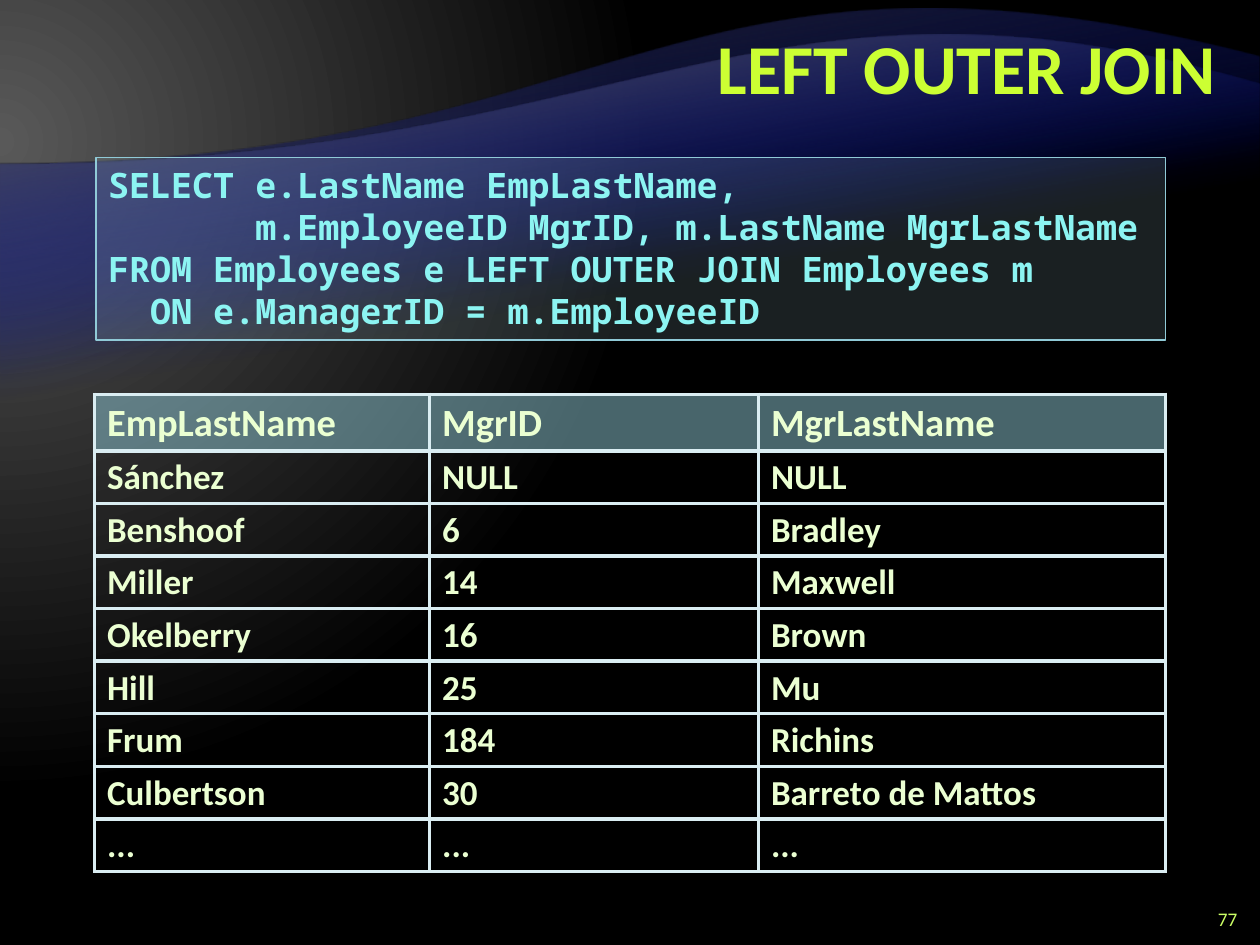
from pptx import Presentation
from pptx.dml.color import RGBColor
from pptx.enum.shapes import MSO_SHAPE
from pptx.enum.text import MSO_ANCHOR, MSO_AUTO_SIZE, PP_ALIGN
from pptx.oxml import parse_xml
from pptx.oxml.ns import nsdecls, qn
from pptx.util import Inches, Pt

RECT = MSO_SHAPE.RECTANGLE
TOP, MIDDLE = MSO_ANCHOR.TOP, MSO_ANCHOR.MIDDLE
LEFT, RIGHT = PP_ALIGN.LEFT, PP_ALIGN.RIGHT
NO_FIT = MSO_AUTO_SIZE.NONE

UNIT = Inches(0.25)
COLS, ROWS = 40, 30
SANS, MONO = "Calibri", "Noto Sans Mono"
BLACK = RGBColor(0x00, 0x00, 0x00)
GREY = RGBColor(0x59, 0x59, 0x59)
DARK = RGBColor(0x26, 0x26, 0x26)
BLUE = RGBColor(0x00, 0x0D, 0x9E)
LIME = RGBColor(0xCC, 0xFF, 0x33)
PALE_LIME = RGBColor(0xCC, 0xFF, 0x66)
CREAM = RGBColor(0xEB, 0xFF, 0xD2)
CYAN = RGBColor(0x8C, 0xF4, 0xF2)
TEAL = RGBColor(0x90, 0xCA, 0xD7)
MIST = RGBColor(0xB5, 0xDB, 0xE5)
ICE = RGBColor(0xDA, 0xED, 0xF2)

QUERY = """SELECT e.LastName EmpLastName,
       m.EmployeeID MgrID, m.LastName MgrLastName
FROM Employees e LEFT OUTER JOIN Employees m
  ON e.ManagerID = m.EmployeeID"""
STAFF = [
    ("EmpLastName", "MgrID", "MgrLastName"),
    ("Sánchez", "NULL", "NULL"),
    ("Benshoof", "6", "Bradley"),
    ("Miller", "14", "Maxwell"),
    ("Okelberry", "16", "Brown"),
    ("Hill", "25", "Mu"),
    ("Frum", "184", "Richins"),
    ("Culbertson", "30", "Barreto de Mattos"),
    ("...", "...", "..."),
]


def grid(*cells):
    """Turn grid counts into lengths."""
    return [round(n * UNIT) for n in cells]


def style(para, size, color, name=SANS, bold=True, align=LEFT):
    """Set the font and alignment of a paragraph."""
    para.alignment = align
    font = para.font
    font.name, font.size, font.bold = name, Pt(size), bold
    font.color.rgb = color


def fade(color, share):
    """Make a solid fill's colour partly clear."""
    color.append(parse_xml(f'<a:alpha {nsdecls("a")} val="{share * 1000}"/>'))


def blend(parent, stops, shade):
    """Put a gradient in place of an empty fill."""
    marks = "".join(
        f'<a:gs pos="{at * 1000}"><a:srgbClr val="{color}">'
        f'<a:alpha val="{share * 1000}"/></a:srgbClr></a:gs>'
        for at, color, share in stops)
    fill = parse_xml(f'<a:gradFill {nsdecls("a")} rotWithShape="1">'
                     f'<a:gsLst>{marks}</a:gsLst>{shade}</a:gradFill>')
    parent.replace(parent.find(qn("a:noFill")), fill)


def add_glow(slide):
    """Give the slide a round glow at its upper left."""
    slide.background.fill.background()
    blend(slide.element.find(".//" + qn("p:bgPr")),
          [(0, GREY, 100), (83, BLACK, 100)],
          '<a:path path="circle"><a:fillToRect l="20000" t="30000" '
          'r="135000" b="100000"/></a:path>')


def add_wave(slide, box, drop, bend, tint):
    """Draw a curved band on the layout behind the slide."""
    x, y, w, h = grid(*box)
    pen = slide.shapes.build_freeform(x, y + round(drop * h))
    pen.add_line_segments([(x + w, y), (x + w, y + h), (x, y + h)])
    wave = pen.convert_to_shape()
    wave.shadow.inherit = False
    wave.line.fill.background()
    wave.fill.background()
    points = "".join(f'<a:pt x="{round(a * w)}" y="{round(b * h)}"/>'
                     for a, b in [(0.5, drop), bend, (1, 0)])
    edge = wave.element.find(".//" + qn("a:lnTo"))
    edge.getparent().replace(edge, parse_xml(
        f'<a:cubicBezTo {nsdecls("a")}>{points}</a:cubicBezTo>'))
    blend(wave.element.spPr, [(65, BLUE, 0), (100, tint, 100)],
          f'<a:lin ang="{260 * 60000}" scaled="0"/>')
    slide.slide_layout.shapes.element.append(wave.element)


def add_title(slide, box, text):
    """Place and format the title."""
    title = slide.shapes.title
    title.left, title.top, title.width, title.height = grid(*box)
    frame = title.text_frame
    frame.text = text
    frame.auto_size, frame.vertical_anchor = NO_FIT, MIDDLE
    para = frame.paragraphs[0]
    para.line_spacing = Pt(40)
    style(para, 40, LIME, align=RIGHT)


def add_number(slide, box, text):
    """Place the page number."""
    frame = slide.shapes.add_textbox(*grid(*box)).text_frame
    frame.text = text
    frame.word_wrap, frame.vertical_anchor = True, MIDDLE
    style(frame.paragraphs[0], 11, PALE_LIME, bold=False, align=RIGHT)


def add_code(slide, box, text):
    """Place the query in a clear panel."""
    panel = slide.shapes.add_shape(RECT, *grid(*box))
    panel.shadow.inherit = False
    panel.fill.solid()
    panel.fill.fore_color.rgb = MIST
    fade(panel.element.spPr.find(".//" + qn("a:srgbClr")), 15)
    panel.line.color.rgb, panel.line.width = TEAL, Pt(1)
    frame = panel.text_frame
    frame.text = text
    frame.word_wrap, frame.vertical_anchor = True, TOP
    for para in frame.paragraphs:
        style(para, 20, CYAN, MONO)


def add_edges(cell):
    """Draw the four borders of a cell."""
    props = cell._tc.get_or_add_tcPr()
    for at, side in enumerate("LRTB"):
        props.insert(at, parse_xml(
            f'<a:ln{side} {nsdecls("a")} w="{Pt(2.25)}"><a:solidFill>'
            f'<a:srgbClr val="{ICE}"/></a:solidFill></a:ln{side}>'))


def add_staff(slide, box, data, widths):
    """Place the result table."""
    x, y, w, h = grid(*box)
    frame = slide.shapes.add_table(len(data), len(widths), x, y, w, h)
    table = frame.table
    table.horz_banding = False
    for col, width in zip(table.columns, grid(*widths)):
        col.width = width
    for r, (row, texts) in enumerate(zip(table.rows, data)):
        row.height = Inches(0.38)
        for cell, text in zip(row.cells, texts):
            cell.text = text
            para = cell.text_frame.paragraphs[0]
            para.line_spacing = 0.95
            style(para, 20 if r else 22, CREAM)
            if r:
                cell.fill.background()
            else:
                cell.fill.solid()
                cell.fill.fore_color.rgb = TEAL
                fade(cell._tc.tcPr.find(".//" + qn("a:srgbClr")), 50)
            add_edges(cell)
    frame.height = h


def main():
    """Build and save the deck."""
    deck = Presentation()
    deck.slide_width, deck.slide_height = grid(COLS, ROWS)
    slide = deck.slides.add_slide(deck.slide_layouts[5])
    add_glow(slide)
    add_wave(slide, (0, 1.8, COLS, 24.32), 0.14, (0.53, -0.2), DARK)
    add_wave(slide, (0, 2.68, COLS, 19.6), 0.13, (0.6, -0.24), GREY)
    add_title(slide, (8, 0.32, 31, 4), "LEFT OUTER JOIN")
    add_number(slide, (37.68, 28.68, 2, 1), "77")
    add_code(slide, (3.04, 5, 33.96, 5.8), QUERY)
    add_staff(slide, (3, 12.52, 34, 15.12), STAFF, (10.64, 10.44, 12.92))
    deck.save("out.pptx")


if __name__ == "__main__":
    main()
